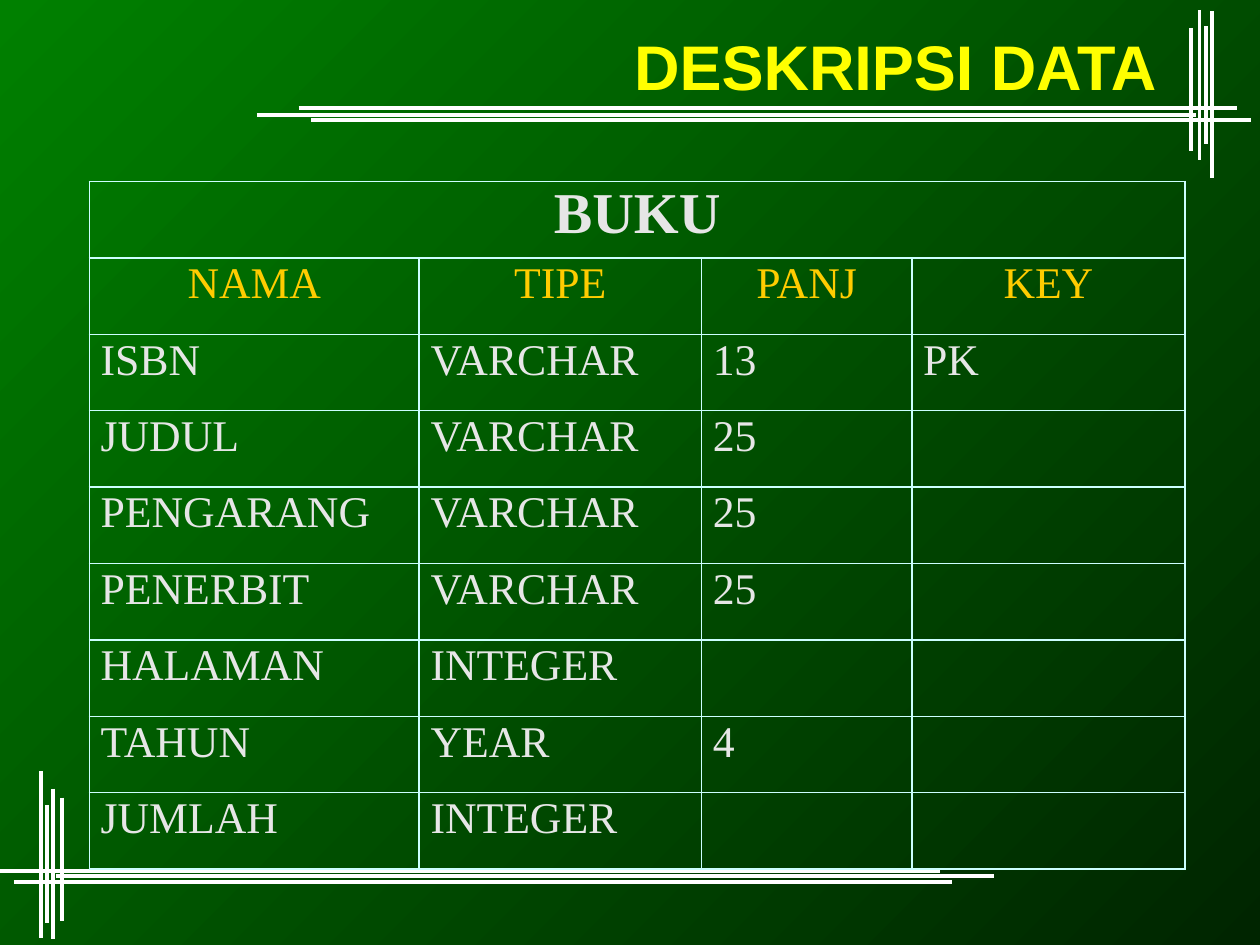
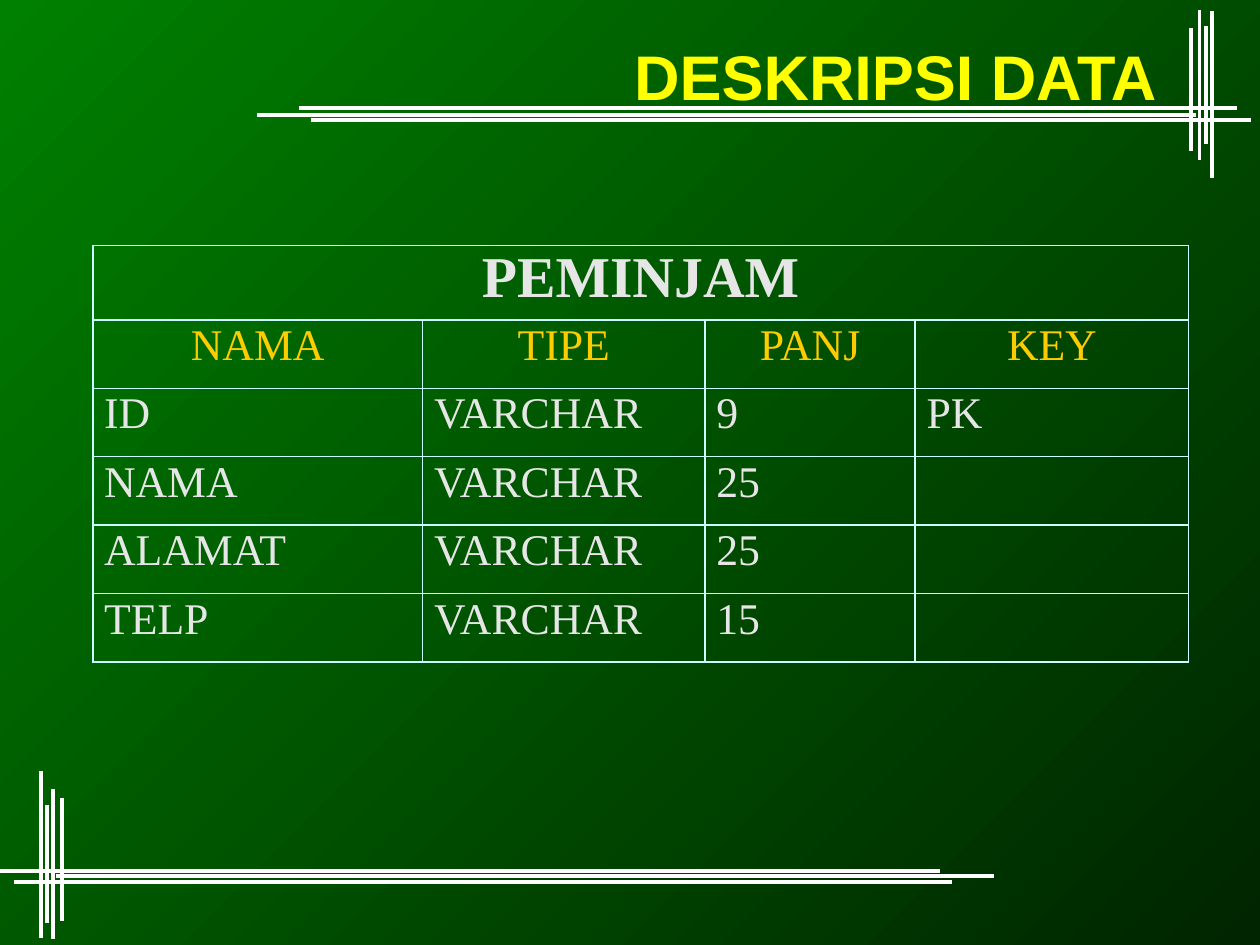
"""Build two slides that describe the data tables of a library."""
import pptx
import pptx.dml.color
import pptx.enum.shapes
import pptx.enum.text
import pptx.oxml
import pptx.oxml.ns
import pptx.util

Cm = pptx.util.Cm
Pt = pptx.util.Pt
ALIGN = pptx.enum.text.PP_ALIGN

TITLE = "DESKRIPSI DATA"
HEADINGS = ["NAMA", "TIPE", "PANJ", "KEY"]
SLIDES = [
    {
        "title_top": -0.28,
        "table_name": "BUKU",
        "table_at": (1.8, 3.66),
        "name_height": 1.54,
        "row_height": 1.54,
        "fields": [
            ("ISBN", "VARCHAR", "13", "PK"),
            ("JUDUL", "VARCHAR", "25", ""),
            ("PENGARANG", "VARCHAR", "25", ""),
            ("PENERBIT", "VARCHAR", "25", ""),
            ("HALAMAN", "INTEGER", "", ""),
            ("TAHUN", "YEAR", "4", ""),
            ("JUMLAH", "INTEGER", "", ""),
        ],
    },
    {
        "title_top": -0.08,
        "table_name": "PEMINJAM",
        "table_at": (1.87, 4.95),
        "name_height": 1.47,
        "row_height": 1.38,
        "fields": [
            ("ID", "VARCHAR", "9", "PK"),
            ("NAMA", "VARCHAR", "25", ""),
            ("ALAMAT", "VARCHAR", "25", ""),
            ("TELP", "VARCHAR", "15", ""),
        ],
    },
]

WIDTH, HEIGHT = 25.4, 19.05
COLUMN_WIDTHS = [6.65, 5.69, 4.24, 5.51]
GREEN, DARK_GREEN, WHITE = "008000", "002500", "FFFFFF"
YELLOW, GOLD, LIGHT_GRAY, PALE_CYAN = "FFFF00", "FFCC00", "E6E6E6", "CCFFFF"
TITLE_FONT, TABLE_FONT = "Arial", "Times New Roman"
NAMESPACE = pptx.oxml.ns.nsdecls("a")

HORIZONTAL_LINES = [
    (5.18, 2.31, 24.1, 2.31),
    (6.02, 2.18, 24.94, 2.18),
    (6.27, 2.41, 25.22, 2.41),
]
VERTICAL_LINES = [
    (24.31, 0.53, 24.31, 2.9),
    (24.18, 0.2, 24.18, 3.23),
    (24, 0.56, 24, 3.05),
    (24.43, 0.23, 24.43, 3.58),
]
HORIZONTAL_TURN = (25.22, 19.96)
VERTICAL_TURN = (25.25, 19.13)


def color(value):
    return pptx.dml.color.RGBColor.from_string(value)


def write(frame, text, font, size, ink, bold=False, align=ALIGN.LEFT, spacing=1.0, hanging=0):
    para = frame.paragraphs[0]
    para.alignment = align
    para.line_spacing = spacing
    if hanging:
        properties = para._p.get_or_add_pPr()
        properties.set("marL", str(Cm(hanging)))
        properties.set("indent", str(-Cm(hanging)))
    span = para.add_run()
    span.text = text
    span.font.name = font
    span.font.size = Pt(size)
    span.font.bold = bold
    span.font.color.rgb = color(ink)


def add_background(page):
    panel = page.shapes.add_shape(
        pptx.enum.shapes.MSO_SHAPE.RECTANGLE, 0, 0, Cm(WIDTH), Cm(HEIGHT))
    panel.shadow.inherit = False
    panel.line.fill.background()
    panel.fill.gradient()
    panel.fill.gradient_angle = 315
    for stop, shade, position in zip(panel.fill.gradient_stops, (GREEN, DARK_GREEN), (0, 1)):
        stop.color.rgb = color(shade)
        stop.position = position


def add_line(page, ends):
    line = page.shapes.add_connector(
        pptx.enum.shapes.MSO_CONNECTOR.STRAIGHT, *[Cm(end) for end in ends])
    line.line.color.rgb = color(WHITE)
    line.line.width = Pt(2.25)
    line.element.spPr.append(pptx.oxml.parse_xml(f"<a:effectLst {NAMESPACE}/>"))


def add_crossed_lines(page):
    for lines, (turn_x, turn_y) in (
            (HORIZONTAL_LINES, HORIZONTAL_TURN), (VERTICAL_LINES, VERTICAL_TURN)):
        for x1, y1, x2, y2 in lines:
            add_line(page, (x1, y1, x2, y2))
            add_line(page, (turn_x - x2, turn_y - y2, turn_x - x1, turn_y - y1))


def add_title(page, top):
    box = page.shapes.add_textbox(Cm(1.88), Cm(top), Cm(21.69), Cm(3.18))
    box.text_frame.word_wrap = True
    box.text_frame.vertical_anchor = pptx.enum.text.MSO_ANCHOR.MIDDLE
    write(box.text_frame, TITLE, TITLE_FONT, 36, YELLOW, bold=True, align=ALIGN.RIGHT)


def style_cell(cell):
    properties = cell._tc.get_or_add_tcPr()
    for side in ("lnL", "lnR", "lnT", "lnB"):
        properties.append(pptx.oxml.parse_xml(
            f'<a:{side} {NAMESPACE} w="{Pt(1)}"><a:solidFill>'
            f'<a:srgbClr val="{PALE_CYAN}"/></a:solidFill></a:{side}>'))
    cell.fill.background()
    cell.margin_left = cell.margin_right = Cm(0.23)
    cell.margin_top = cell.margin_bottom = Cm(0.12)


def add_field_table(page, content):
    rows = [(content["table_name"], "", "", ""), HEADINGS, *content["fields"]]
    heights = [content["name_height"]] + [content["row_height"]] * (len(rows) - 1)
    left, top = content["table_at"]
    table = page.shapes.add_table(
        len(rows), len(HEADINGS), Cm(left), Cm(top),
        Cm(sum(COLUMN_WIDTHS)), Cm(sum(heights))).table
    table.first_row = table.horz_banding = False
    for column, width in zip(table.columns, COLUMN_WIDTHS):
        column.width = Cm(width)
    table.cell(0, 0).merge(table.cell(0, len(HEADINGS) - 1))
    formats = [
        {"size": 33, "ink": LIGHT_GRAY, "bold": True, "align": ALIGN.CENTER},
        {"size": 25, "ink": GOLD, "align": ALIGN.CENTER},
        {"size": 25, "ink": LIGHT_GRAY},
    ]
    for index, texts in enumerate(rows):
        table.rows[index].height = Cm(heights[index])
        for cell, text in zip(table.rows[index].cells, texts):
            style_cell(cell)
            if text:
                write(cell.text_frame, text, TABLE_FONT, spacing=0.9, hanging=0.3,
                      **formats[min(index, 2)])


def main():
    deck = pptx.Presentation()
    deck.slide_width, deck.slide_height = Cm(WIDTH), Cm(HEIGHT)
    for content in SLIDES:
        page = deck.slides.add_slide(deck.slide_layouts[6])
        add_background(page)
        add_crossed_lines(page)
        add_title(page, content["title_top"])
        add_field_table(page, content)
    deck.save("out.pptx")


if __name__ == "__main__":
    main()
